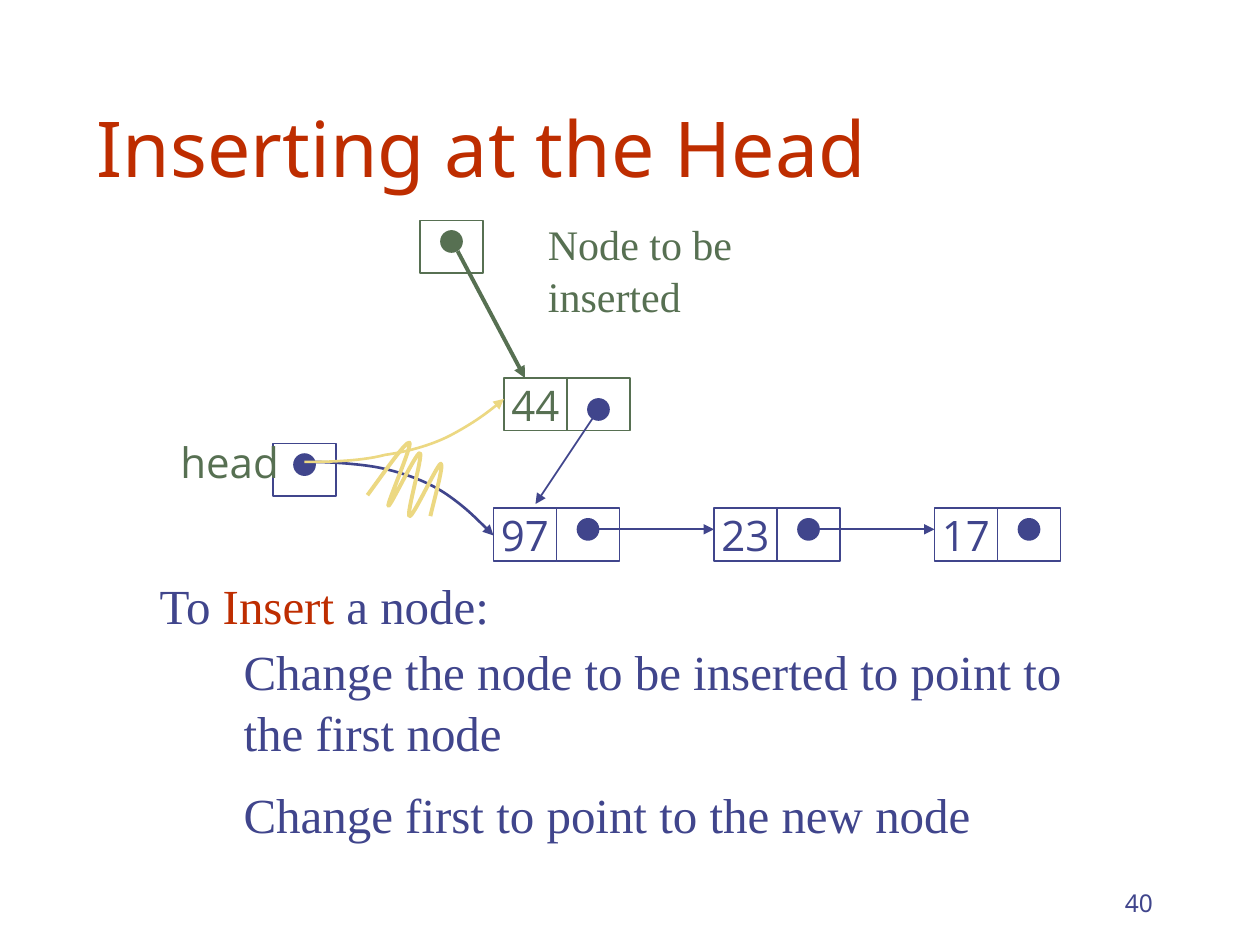
"""Build the slide that shows insertion at the head of a linked list."""
from dataclasses import dataclass

from lxml.etree import SubElement
from pptx import Presentation
from pptx.dml.color import RGBColor
from pptx.enum.shapes import MSO_CONNECTOR, MSO_SHAPE
from pptx.enum.text import MSO_ANCHOR, PP_ALIGN
from pptx.oxml.ns import qn
from pptx.util import Pt


@dataclass(frozen=True)
class Theme:
    """Colours, fonts and type sizes of the slide."""
    blue: RGBColor = RGBColor(0x40, 0x45, 0x8C)
    green: RGBColor = RGBColor(0x57, 0x70, 0x52)
    red: RGBColor = RGBColor(0xBE, 0x2D, 0x00)
    yellow: RGBColor = RGBColor(0xEC, 0xD8, 0x82)
    heading: str = "Noto Sans"
    label: str = "Open Sans"
    body: str = "Times New Roman"
    title_size: int = 44
    body_size: int = 28
    label_size: int = 24
    number_size: int = 14


theme = Theme()
TITLE = "Inserting at the Head"
STEPS = [
    ([("To ", theme.blue), ("Insert ", theme.red), ("a node:", theme.blue)], 0, 0),
    ([("Change the node to be inserted to point to the first node", theme.blue)], 48, 2.5),
    ([("Change first to point to the new node", theme.blue)], 48, 12),
]
LABELS = [
    ("head", 96, 246, 78, 36, theme.label, 1),
    ("Node to be inserted", 306, 120, 120, 65, theme.body, 1.04),
]
LIST_VALUES = ["97", "23", "17"]
CELL_WIDTH, CELL_HEIGHT, DOT = 36, 30, 12
LIST_LEFT, LIST_TOP, LIST_STEP = 282, 290.5, 126
OLD_LINK = [(180, 264), (186.5, 264), (208, 265), (220.5, 268), (233, 271), (246, 276.5),
            (256.5, 283), (266.5, 289.5), (274.5, 298), (282, 306)]
NEW_LINK = [(174, 264), (181.5, 263.5), (205, 263.5), (219.5, 260.5), (233.5, 258),
            (248, 253.5), (259, 247.5), (270.5, 242), (279.5, 235), (288, 228)]
SCRIBBLE = [(210, 283), (221, 268), (232, 252), (234, 253), (236, 254), (221, 288),
            (222, 289), (223, 290), (238, 258), (240, 259), (242, 260), (232, 294),
            (234, 295), (236, 296), (250, 265), (252, 265), (254, 265), (247, 290),
            (246, 295)]

presentation = Presentation()
presentation.slide_width, presentation.slide_height = Pt(720), Pt(540)
slide = presentation.slides.add_slide(presentation.slide_layouts[1])
shapes = slide.shapes


def place(shape, left, top, width, height):
    shape.left, shape.top, shape.width, shape.height = map(Pt, (left, top, width, height))


def style_font(paragraph, name, size, color):
    paragraph.font.name = name
    paragraph.font.size = Pt(size)
    paragraph.font.color.rgb = color


def style_line(shape, color, width, arrow=False):
    shape.line.color.rgb = color
    shape.line.width = Pt(width)
    if arrow:
        SubElement(shape.line._get_or_add_ln(), qn("a:tailEnd"), type="triangle")


def add_text(text, left, top, width, height, font, size, color):
    box = shapes.add_textbox(*map(Pt, (left, top, width, height)))
    box.text_frame.word_wrap = True
    paragraph = box.text_frame.paragraphs[0]
    paragraph.text = text
    style_font(paragraph, font, size, color)
    return box.text_frame


def add_cell(left, top, color, text=""):
    cell = shapes.add_shape(MSO_SHAPE.RECTANGLE, *map(Pt, (left, top, CELL_WIDTH, CELL_HEIGHT)))
    cell.shadow.inherit = False
    cell.fill.background()
    style_line(cell, color, 1)
    if text:
        frame = cell.text_frame
        frame.word_wrap = False
        frame.vertical_anchor = MSO_ANCHOR.MIDDLE
        frame.text = text
        frame.paragraphs[0].alignment = PP_ALIGN.CENTER
        style_font(frame.paragraphs[0], theme.label, theme.label_size, color)


def add_dot(left, top, color):
    dot = shapes.add_shape(MSO_SHAPE.OVAL, *map(Pt, (left, top, DOT, DOT)))
    dot.shadow.inherit = False
    dot.fill.solid()
    dot.fill.fore_color.rgb = color
    style_line(dot, color, 1)


def add_pointer_cell(left, top, color, dot_drop=6):
    add_cell(left, top, color)
    add_dot(left + DOT, top + dot_drop, color)


def add_arrow(start, end, color, width):
    arrow = shapes.add_connector(MSO_CONNECTOR.STRAIGHT, *map(Pt, (*start, *end)))
    style_line(arrow, color, width, arrow=True)
    SubElement(arrow._element.spPr, qn("a:effectLst"))


def add_curve(points, color, width, arrow=False):
    builder = shapes.build_freeform(*points[0], scale=float(Pt(1)))
    builder.add_line_segments(points[1:], close=False)
    curve = builder.convert_to_shape()
    curve.shadow.inherit = False
    curve.fill.background()
    style_line(curve, color, width, arrow)
    segments = list(curve._element.iter(qn("a:lnTo")))
    outline = segments[0].getparent()
    for first in range(0, len(segments), 3):
        bezier = SubElement(outline, qn("a:cubicBezTo"))
        for segment in segments[first:first + 3]:
            bezier.append(segment[0])
            outline.remove(segment)


title = shapes.title
place(title, 48, 24, 612, 90)
title.text_frame.text = TITLE
title.text_frame.vertical_anchor = MSO_ANCHOR.BOTTOM
title.text_frame.paragraphs[0].alignment = PP_ALIGN.LEFT
style_font(title.text_frame.paragraphs[0], theme.heading, theme.title_size, theme.red)

body = slide.placeholders[1]
place(body, 84, 324, 564, 156)
for index, (runs, indent, space) in enumerate(STEPS):
    frame = body.text_frame
    paragraph = frame.add_paragraph() if index else frame.paragraphs[0]
    style_font(paragraph, theme.body, theme.body_size, theme.blue)
    paragraph.space_before = Pt(space)
    paragraph.line_spacing = 1.04
    properties = paragraph._p.get_or_add_pPr()
    properties.set("marL", str(Pt(indent)))
    properties.set("indent", "0")
    properties.insert_element_before(properties.makeelement(qn("a:buNone")),
                                     "a:tabLst", "a:defRPr", "a:extLst")
    for text, color in runs:
        run = paragraph.add_run()
        run.text = text
        run.font.color.rgb = color

for index, value in enumerate(LIST_VALUES):
    left = LIST_LEFT + index * LIST_STEP
    add_cell(left, LIST_TOP, theme.blue, value)
    add_pointer_cell(left + CELL_WIDTH, LIST_TOP, theme.blue)
    if index < len(LIST_VALUES) - 1:
        link_y = LIST_TOP + 12
        add_arrow((left + 54, link_y), (left + LIST_STEP, link_y), theme.blue, 1)

add_pointer_cell(156, 253.5, theme.blue)
add_pointer_cell(240, 126, theme.green)
add_arrow((261.5, 143.5), (300, 216), theme.green, 2.25)
add_cell(288, 216, theme.green, "44")
add_cell(324, 216, theme.green)
add_dot(336, 228, theme.blue)
add_arrow((342, 234), (306, 288), theme.blue, 1)
add_curve(OLD_LINK, theme.blue, 1.5, arrow=True)
add_curve(SCRIBBLE, theme.yellow, 2.25)
add_curve(NEW_LINK, theme.yellow, 1.5, arrow=True)

for text, left, top, width, height, font, spacing in LABELS:
    frame = add_text(text, left, top, width, height, font, theme.label_size, theme.green)
    frame.paragraphs[0].line_spacing = spacing

number = add_text("40", 516, 492, 150, 36, theme.heading, theme.number_size, theme.blue)
number.vertical_anchor = MSO_ANCHOR.BOTTOM
number.paragraphs[0].alignment = PP_ALIGN.RIGHT

presentation.save("out.pptx")
